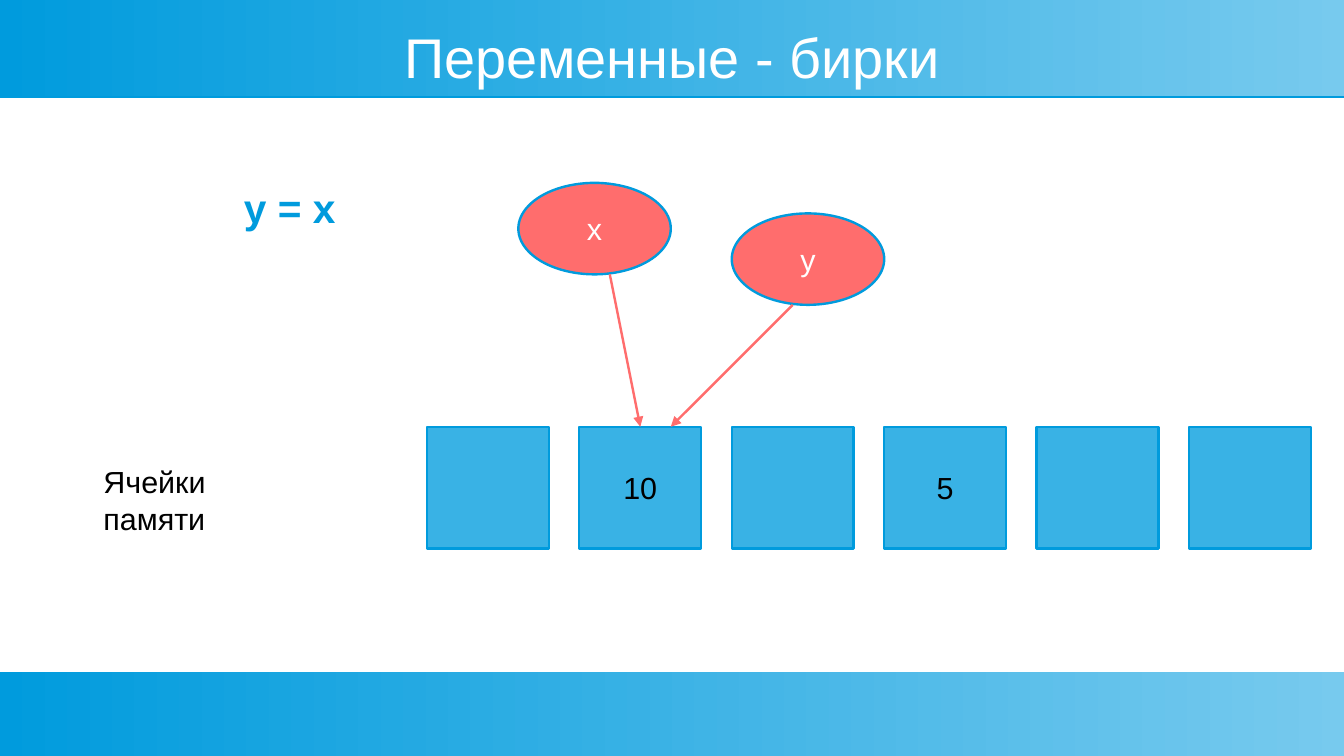
from lxml.etree import SubElement as Sub
from pptx import Presentation
from pptx.dml.color import RGBColor as RGB
from pptx.enum.shapes import MSO_CONNECTOR as Link, MSO_SHAPE as Form
from pptx.enum.text import MSO_ANCHOR as Anchor, PP_ALIGN as Align
from pptx.oxml.ns import qn
from pptx.util import Inches, Pt

WIDE, HIGH = 44.08, 24.8  # slide size in grid units
BLUE, PALE, SKY = "009BDD", "77CAEE", "39B2E5"
RED, WHITE, BLACK = "FF6D6D", "FFFFFF", "000000"


def grid(*units):
    """Turn grid units of a quarter inch into lengths."""
    return [Inches(unit / 4) for unit in units]


def tint(hue):
    return RGB.from_string(hue)


def write(shape, text, size=18, hue=BLACK, bold=False, align=Align.LEFT,
          anchor=Anchor.TOP, wrap=False, inset=True):
    frame = shape.text_frame
    frame.word_wrap, frame.vertical_anchor = wrap, anchor
    if not inset:
        frame.margin_left = frame.margin_right = 0
        frame.margin_top = frame.margin_bottom = 0
    para = frame.paragraphs[0]
    para.alignment = align
    run = para.add_run()
    run.text = text
    font = run.font
    font.name, font.size, font.bold = "Arial", Pt(size), bold
    font.color.rgb = tint(hue)


class Board:
    def __init__(self, slide, stroke=1.42):
        self.shapes, self.stroke = slide.shapes, Pt(stroke)

    def band(self, top, high):
        """Draw a full-width gradient bar with a thin shadow below."""
        bar = self.shapes.add_shape(Form.RECTANGLE, *grid(0, top, WIDE, high))
        bar.line.fill.background()
        bar.fill.gradient()
        bar.fill.gradient_angle = 0
        for stop, hue in zip(bar.fill.gradient_stops, (BLUE, PALE)):
            stop.color.rgb = tint(hue)
        bar.shadow.inherit = False
        glow = Sub(bar.element.spPr.find(qn("a:effectLst")), qn("a:outerShdw"),
                   blurRad="0", dist=str(Pt(0.9)), dir="5400000",
                   algn="ctr", rotWithShape="0")
        Sub(glow, qn("a:srgbClr"), val=BLUE)

    def node(self, form, box, fill, text="", hue=BLACK):
        """Draw an outlined shape with an optional centred label."""
        node = self.shapes.add_shape(form, *grid(*box))
        node.shadow.inherit = False
        node.fill.solid()
        node.fill.fore_color.rgb = tint(fill)
        node.line.color.rgb, node.line.width = tint(BLUE), self.stroke
        if text:
            write(node, text, hue=hue, align=Align.CENTER, anchor=Anchor.MIDDLE)
        return node

    def text(self, box, text, **style):
        write(self.shapes.add_textbox(*grid(*box)), text, **style)

    def arrow(self, start, end):
        line = self.shapes.add_connector(Link.STRAIGHT, *grid(*start, *end))
        line.line.color.rgb, line.line.width = tint(RED), self.stroke
        Sub(line.line._get_or_add_ln(), qn("a:tailEnd"), type="triangle")
        Sub(line._element.spPr, qn("a:effectLst"))
        return line


def main():
    deck = Presentation()
    deck.slide_width, deck.slide_height = grid(WIDE, HIGH)
    board = Board(deck.slides.add_slide(deck.slide_layouts[6]))

    board.band(0, 3.16)
    board.band(22.04, HIGH - 22.04)
    board.text((1.56, 0.8, 40.96, 2.08), "Переменные - бирки", size=33,
               hue=WHITE, align=Align.CENTER, anchor=Anchor.MIDDLE,
               wrap=True, inset=False)

    cells = [board.node(Form.RECTANGLE, (14 + 5 * col, 14, 4, 4), SKY, value)
             for col, value in enumerate(("", "10", "", "5", "", ""))]
    board.text((3, 15, 7.76, 1.52), "Ячейки памяти")
    board.text((8, 6, 5, 4), "y = x", size=24, hue=BLUE, bold=True,
               wrap=True, inset=False)

    for name, left, top in (("x", 17, 6), ("y", 24, 7)):
        board.node(Form.OVAL, (left, top, 5, 3), RED, name, WHITE)
    board.arrow((20, 9), (21, 14)).end_connect(cells[1], 0)
    board.arrow((26, 10), (22, 14))

    deck.save("out.pptx")


if __name__ == "__main__":
    main()
